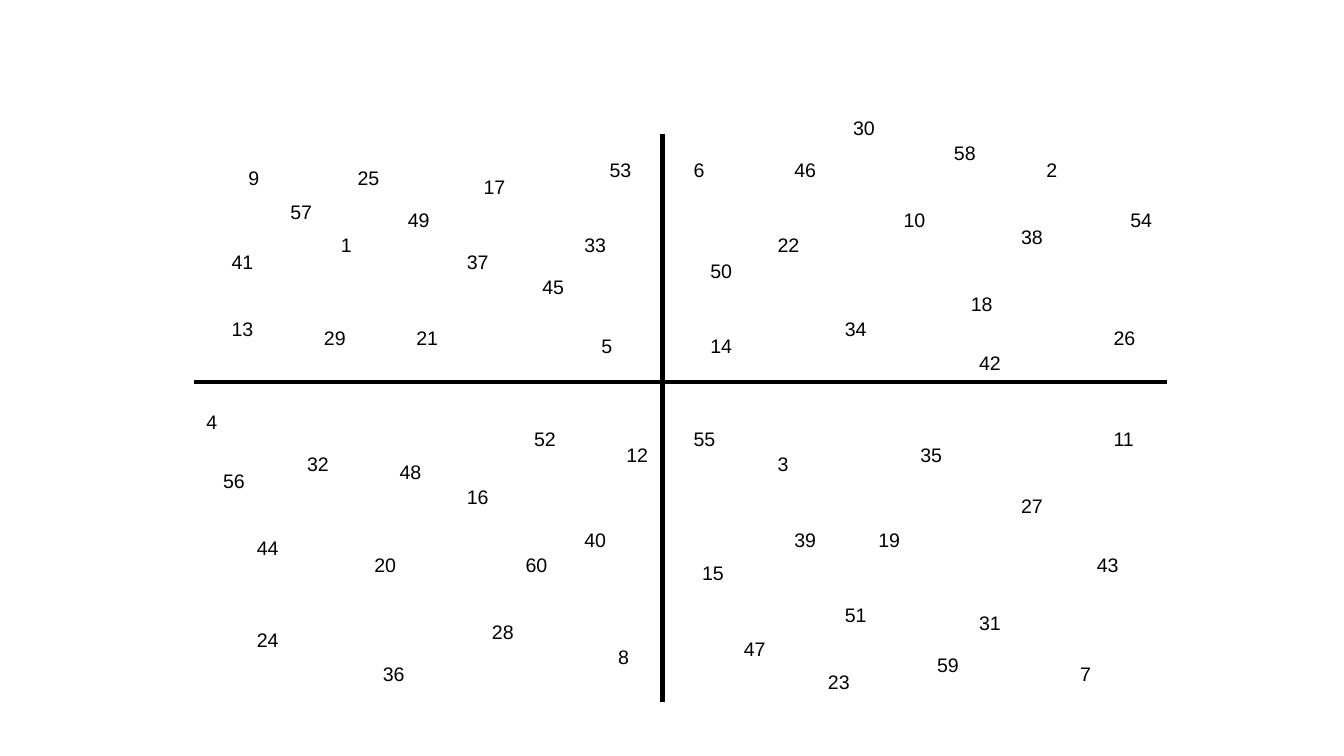
from pptx import Presentation
from pptx.dml.color import RGBColor
from pptx.enum import shapes, text
from pptx.util import Inches, Pt
from lxml import etree

COLORS = {"ink": "000000"}
A_NS = "http://schemas.openxmlformats.org/drawingml/2006/main"
GRID = 16  # grid steps per inch

# Left and top of each number in grid steps, in counting order from 1
SPOTS = [
    (39, 27), (123, 18), (91, 53), (23, 48), (70, 39),
    (81, 18), (127, 78), (72, 76), (28, 19), (106, 24),
    (131, 50), (73, 52), (26, 37), (83, 39), (82, 66),
    (54, 57), (56, 20), (114, 34), (103, 62), (43, 65),
    (48, 38), (91, 27), (97, 79), (29, 74), (41, 19),
    (131, 38), (120, 58), (57, 73), (37, 38), (100, 13),
    (115, 72), (35, 53), (68, 27), (99, 37), (108, 52),
    (44, 78), (54, 29), (120, 26), (93, 62), (68, 62),
    (26, 29), (115, 41), (129, 65), (29, 63), (63, 32),
    (93, 18), (87, 75), (46, 54), (47, 24), (83, 30),
    (99, 71), (62, 50), (71, 18), (133, 24), (81, 50),
    (25, 55), (33, 23), (112, 16), (110, 77), (61, 65),
]


def add_number(slide, num, col, row):
    width = 0.28 if num < 10 else 0.37
    box = slide.shapes.add_textbox(
        Inches(col / GRID), Inches(row / GRID), Inches(width), Inches(0.28))
    frame = box.text_frame
    frame.word_wrap = False
    frame.auto_size = text.MSO_AUTO_SIZE.SHAPE_TO_FIT_TEXT
    par = frame.paragraphs[0]
    par.text = str(num)
    par.font.name = "Arial"
    par.font.size = Pt(10.5)
    par.font.color.rgb = RGBColor.from_string(COLORS["ink"])


def add_axis(slide, x1, y1, x2, y2):
    axis = slide.shapes.add_connector(
        shapes.MSO_CONNECTOR.STRAIGHT,
        Inches(x1), Inches(y1), Inches(x2), Inches(y2))
    axis.line.width = Pt(2.25)
    axis.line.color.rgb = RGBColor.from_string(COLORS["ink"])
    # An empty effect list removes the shadow
    etree.SubElement(axis._element.spPr, f"{{{A_NS}}}effectLst")


def main():
    # Widescreen page, 16 to 9
    deck = Presentation()
    deck.slide_width, deck.slide_height = Inches(10), Inches(10 * 9 / 16)
    slide = deck.slides.add_slide(deck.slide_layouts[6])

    # Scattered numbers
    for num, (col, row) in enumerate(SPOTS, 1):
        add_number(slide, num, col, row)

    # Cross that parts the four fields
    add_axis(slide, 1.44, 2.84, 8.68, 2.84)
    add_axis(slide, 4.93, 1, 4.93, 5.22)

    deck.save("out.pptx")


if __name__ == "__main__":
    main()
